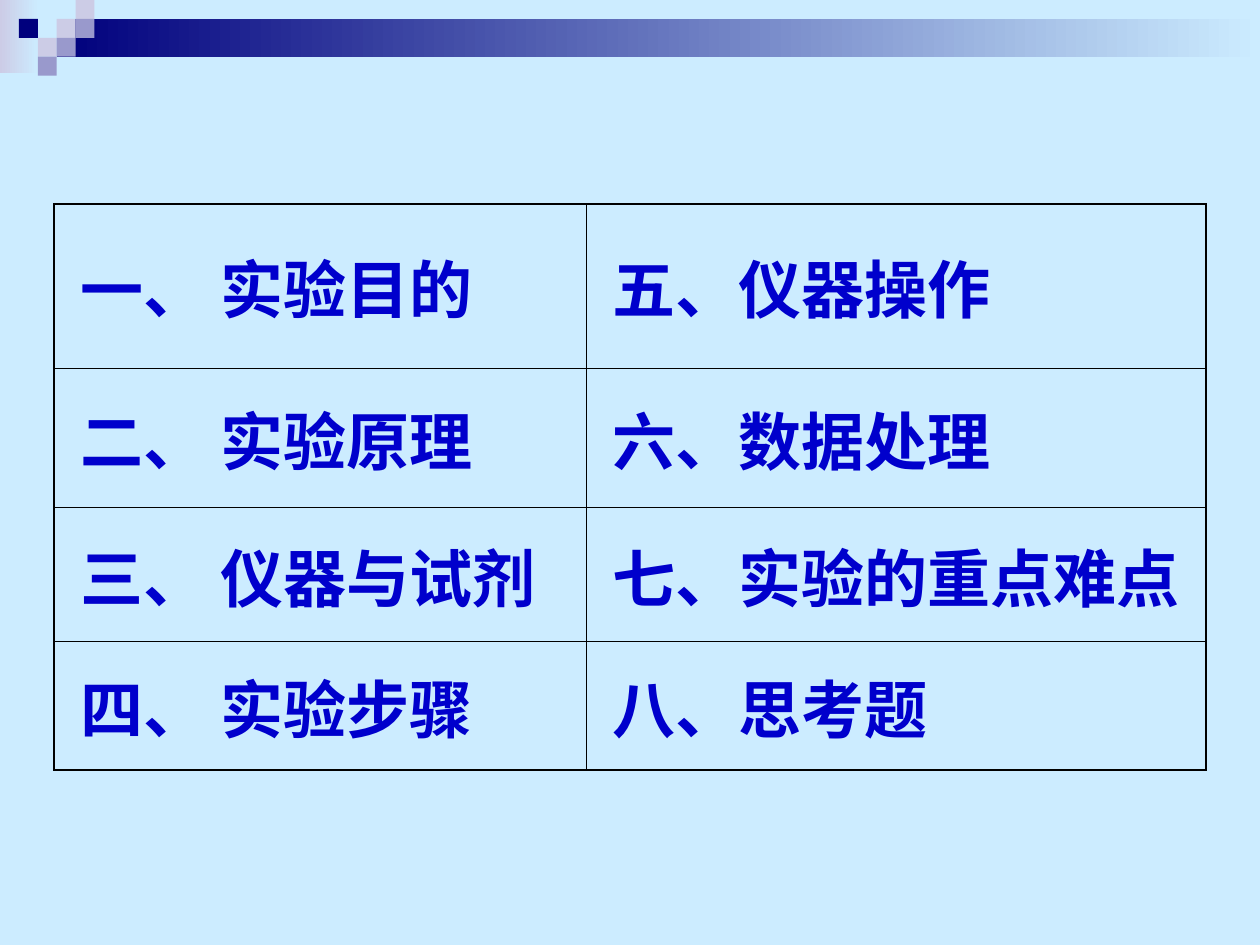
"""Build the contents slide of an experiment lecture: a header ornament and a two-column table."""
from lxml.etree import SubElement
from pptx import Presentation
from pptx.dml.color import RGBColor
from pptx.enum.shapes import MSO_SHAPE as Shape
from pptx.enum.text import MSO_ANCHOR as Anchor
from pptx.oxml.ns import qn
from pptx.util import Inches, Pt

SKY = RGBColor(0xCC, 0xEC, 0xFF)
NAVY = RGBColor(0x00, 0x00, 0x7D)
LILAC = RGBColor(0xCC, 0xCC, 0xE6)
VIOLET = RGBColor(0x99, 0x99, 0xCC)
BLUE = RGBColor(0x00, 0x00, 0xCC)
BLACK = RGBColor(0x00, 0x00, 0x00)

FONT = {"name": "Arial", "size": Pt(36), "bold": True}
CELL = {"vertical_anchor": Anchor.MIDDLE, "margin_left": Inches(0.21)}
TABLE_FLAGS = {"first_row": False, "horz_banding": False}
OUTER, INNER = Pt(1.08), Pt(0.45)
SQUARE = 0.15


def add_block(slide, left, top, width, height):
    shape = slide.shapes.add_shape(
        Shape.RECTANGLE, Inches(left), Inches(top), Inches(width), Inches(height))
    shape.shadow.inherit = False
    shape.line.fill.background()
    return shape


def add_border(cell, side, width):
    line = SubElement(cell._tc.get_or_add_tcPr(), qn(f"a:{side}"), w=str(width))
    fill = SubElement(line, qn("a:solidFill"))
    SubElement(fill, qn("a:srgbClr"), val=str(BLACK))


presentation = Presentation()
presentation.slide_width, presentation.slide_height = Inches(10), Inches(7.5)
slide = presentation.slides.add_slide(presentation.slide_layouts[6])
slide.background.fill.solid()
slide.background.fill.fore_color.rgb = SKY

bands = [((0, 0, 0.31, 0.58), LILAC), ((0.45, 0.15, 9.55, 0.3), NAVY)]
for place, color in bands:
    fill = add_block(slide, *place).fill
    fill.gradient()
    fill.gradient_angle = 0
    for stop, stop_color in zip(fill.gradient_stops, (color, SKY)):
        stop.color.rgb = stop_color

squares = [(3, 1, LILAC), (4, 0, LILAC), (4, 1, VIOLET), (2, 2, LILAC),
           (1, 1, NAVY), (3, 2, VIOLET), (2, 3, VIOLET)]
for column, row, color in squares:
    shape = add_block(slide, column * SQUARE, row * SQUARE, SQUARE, SQUARE)
    shape.fill.solid()
    shape.fill.fore_color.rgb = color

topics = [
    ("一、 实验目的", "五、仪器操作"),
    ("二、 实验原理", "六、数据处理"),
    ("三、 仪器与试剂", "七、实验的重点难点"),
    ("四、 实验步骤", "八、思考题"),
]
column_widths = [4.22, 4.92]
row_heights = [1.3, 1.11, 1.06, 1.02]
table = slide.shapes.add_table(
    len(topics), len(column_widths), Inches(0.43), Inches(1.62),
    Inches(sum(column_widths)), Inches(sum(row_heights))).table
for name, value in TABLE_FLAGS.items():
    setattr(table, name, value)
for column, width in zip(table.columns, column_widths):
    column.width = Inches(width)
for row, height in zip(table.rows, row_heights):
    row.height = Inches(height)

for row_index, row_topics in enumerate(topics):
    for column_index, topic in enumerate(row_topics):
        cell = table.cell(row_index, column_index)
        cell.text = topic
        for name, value in CELL.items():
            setattr(cell, name, value)
        font = cell.text_frame.paragraphs[0].runs[0].font
        for name, value in FONT.items():
            setattr(font, name, value)
        font.color.rgb = BLUE
        edges = {"lnL": column_index == 0, "lnR": column_index == len(column_widths) - 1,
                 "lnT": row_index == 0, "lnB": row_index == len(topics) - 1}
        for side, is_outer in edges.items():
            add_border(cell, side, OUTER if is_outer else INNER)
        cell.fill.background()

presentation.save("out.pptx")
